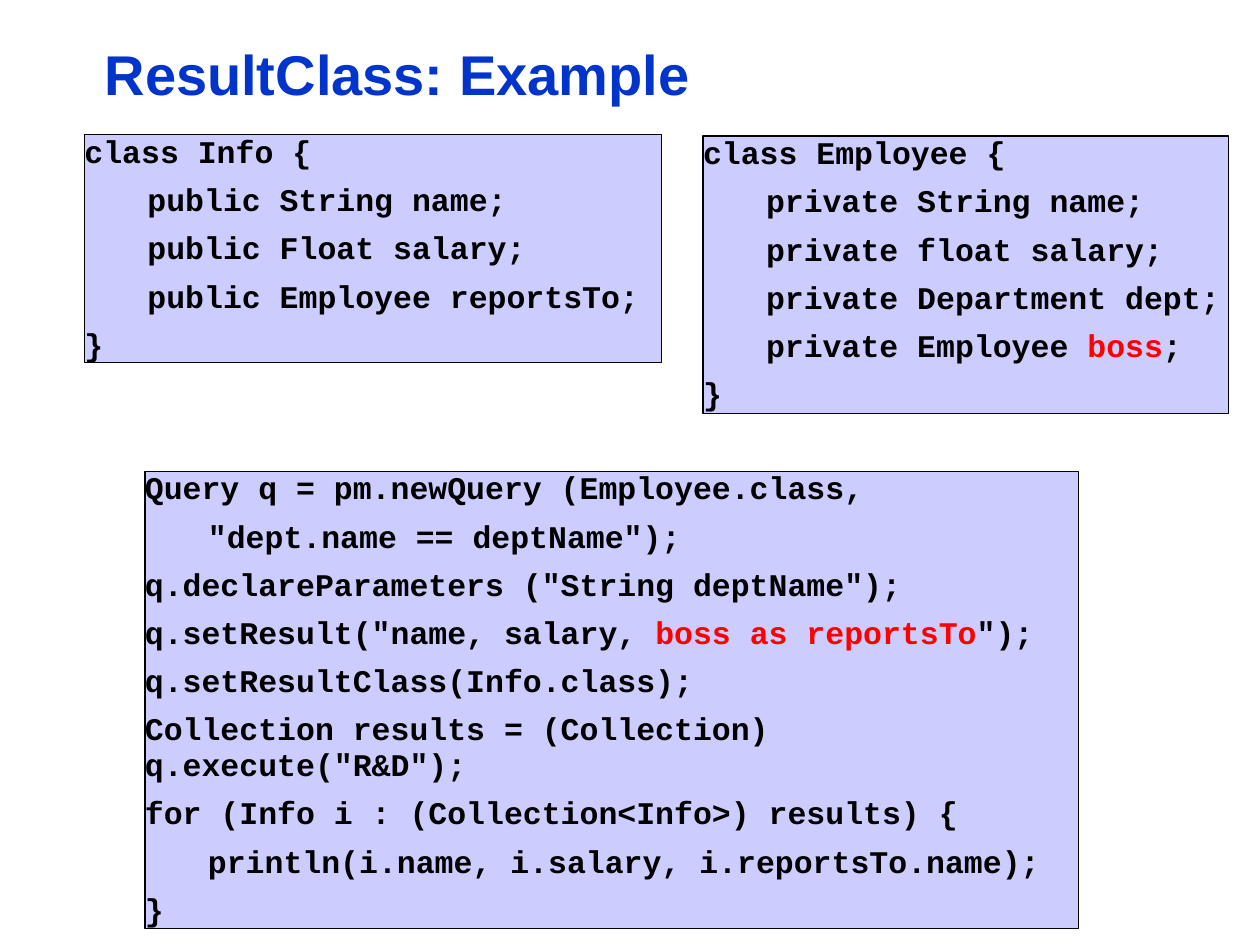
from lxml.etree import SubElement
from pptx import Presentation
from pptx.dml.color import RGBColor
from pptx.enum.shapes import MSO_SHAPE
from pptx.enum.text import MSO_ANCHOR, MSO_AUTO_SIZE, PP_ALIGN
from pptx.oxml.ns import qn
from pptx.util import Inches, Pt

COLS, ROWS = 100, 75


def paint(hue):
    return RGBColor.from_string(hue)


class Page:
    head, code = ("Arial", 32), ("Courier New", 18)
    blue, ink, red, pale = "0034CB", "000000", "FF0000", "CCCCFF"

    def __init__(self, deck):
        self.slide = deck.slides.add_slide(deck.slide_layouts[6])
        self.wide, self.high = deck.slide_width, deck.slide_height

    def place(self, col, row, cols, rows):
        x, y = self.wide / COLS, self.high / ROWS
        return [round(n) for n in (col * x, row * y, cols * x, rows * y)]

    def frame(self, shape, anchor):
        frame = shape.text_frame
        frame.word_wrap = True
        frame.vertical_anchor = anchor
        frame.margin_left = frame.margin_right = 0
        frame.margin_top = frame.margin_bottom = 0
        return frame

    def style(self, run, face, hue):
        run.font.name, size = face
        run.font.size = Pt(size)
        run.font.bold = True
        run.font.color.rgb = paint(hue)

    def title(self, text, *grid):
        box = self.slide.shapes.add_textbox(*self.place(*grid))
        frame = self.frame(box, MSO_ANCHOR.MIDDLE)
        frame.text = text
        self.style(frame.paragraphs[0].runs[0], self.head, self.blue)

    def tabs(self, para):
        stops = SubElement(para._p.get_or_add_pPr(), qn("a:tabLst"))
        for step in range(8):
            SubElement(stops, qn("a:tab"), pos=str(Inches(step / 2)), algn="l")

    def block(self, text, *grid):
        box = self.slide.shapes.add_shape(MSO_SHAPE.RECTANGLE, *self.place(*grid))
        box.shadow.inherit = False
        box.fill.solid()
        box.fill.fore_color.rgb = paint(self.pale)
        box.line.color.rgb = paint(self.ink)
        box.line.width = Pt(0.75)
        frame = self.frame(box, MSO_ANCHOR.TOP)
        frame.auto_size = MSO_AUTO_SIZE.SHAPE_TO_FIT_TEXT
        lines = text.strip().split("\n")
        frame.text = "\n".join(line.split("|")[0] for line in lines)
        for para, line in zip(frame.paragraphs, lines):
            para.alignment = PP_ALIGN.LEFT
            para.line_spacing = 0.95
            para.space_after = Pt(7)
            self.tabs(para)
            for part in line.split("|")[1:]:
                para.add_run().text = part
            for spot, run in enumerate(para.runs):
                self.style(run, self.code, self.red if spot % 2 else self.ink)


QUERY = """
Query q = pm.newQuery (Employee.class,
\t"dept.name == deptName");
q.declareParameters ("String deptName");
q.setResult("name, salary, |boss as reportsTo|");
q.setResultClass(Info.class);
Collection results = (Collection) q.execute("R&D");
for (Info i : (Collection<Info>) results) {
\tprintln(i.name, i.salary, i.reportsTo.name);
}
"""

INFO = """
class Info {
\tpublic String name;
\tpublic Float salary;
\tpublic Employee reportsTo;
}
"""

STAFF = """
class Employee {
\tprivate String name;
\tprivate float salary;
\tprivate Department dept;
\tprivate Employee |boss|;
}
"""


def main():
    deck = Presentation()
    deck.slide_width, deck.slide_height = Inches(10), Inches(7.5)
    page = Page(deck)
    page.title("ResultClass: Example", 8.3, 1.5, 69.9, 8.6)
    page.block(QUERY, 11.5, 37.4, 74.1, 36.3)
    page.block(INFO, 6.7, 10.7, 45.8, 18.1)
    page.block(STAFF, 55.8, 10.8, 41.7, 22)
    deck.save("out.pptx")


if __name__ == "__main__":
    main()
